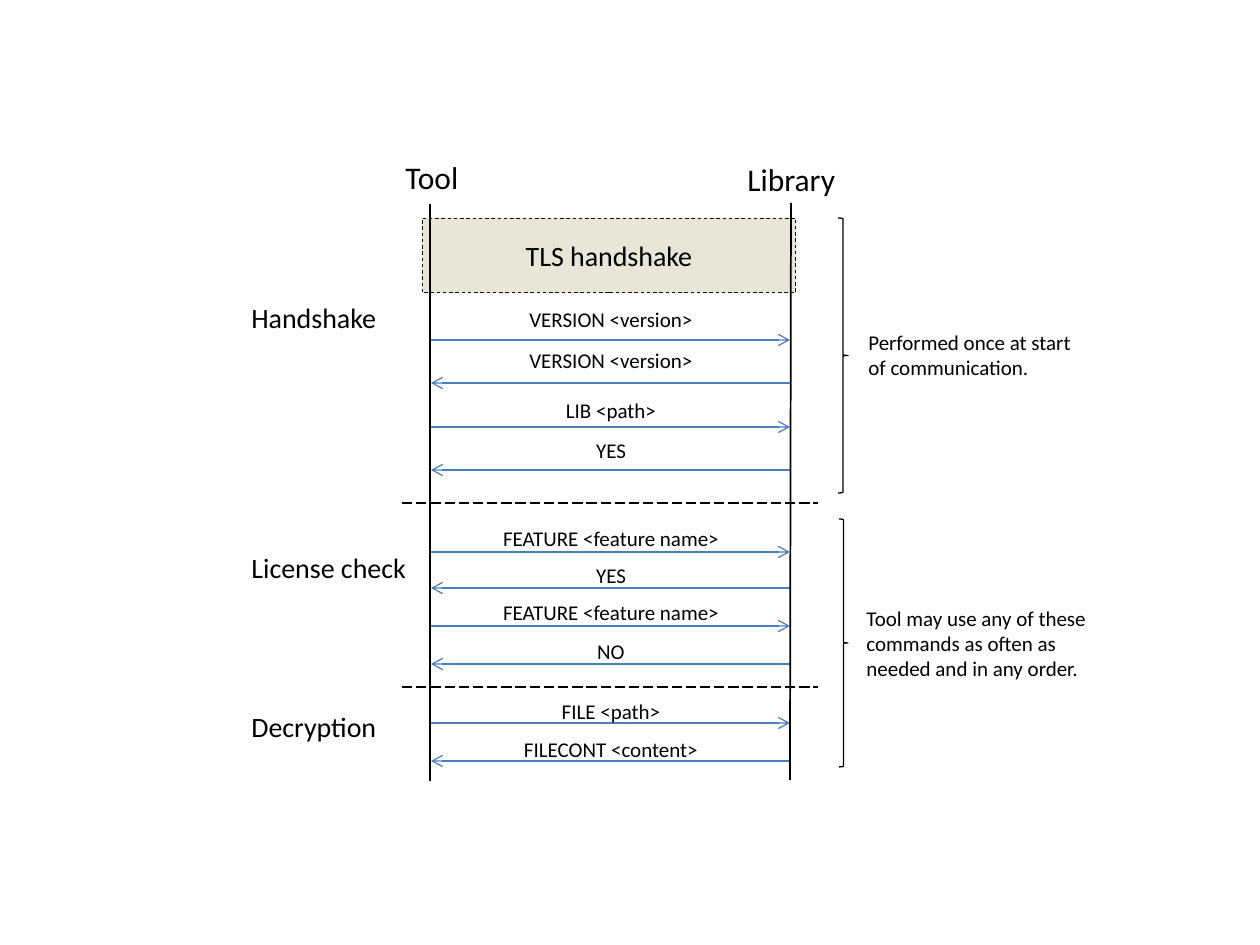
"""Build a sequence diagram of the protocol between a tool and a library."""
from lxml import etree
from pptx import Presentation
from pptx.dml.color import RGBColor
from pptx.enum.dml import MSO_LINE
from pptx.enum.shapes import MSO_CONNECTOR, MSO_SHAPE
from pptx.enum.text import MSO_ANCHOR, MSO_AUTO_SIZE, PP_ALIGN
from pptx.oxml.ns import qn
from pptx.util import Pt

STRAIGHT = MSO_CONNECTOR.STRAIGHT
RECT, BRACE = MSO_SHAPE.RECTANGLE, MSO_SHAPE.RIGHT_BRACE
DASH, LONG_DASH = MSO_LINE.DASH, MSO_LINE.LONG_DASH
LEFT, CENTER = PP_ALIGN.LEFT, PP_ALIGN.CENTER
MIDDLE = MSO_ANCHOR.MIDDLE
FIT = MSO_AUTO_SIZE.SHAPE_TO_FIT_TEXT

THEME = {
    "font": "Calibri",
    "ink": RGBColor(0x00, 0x00, 0x00),
    "border": RGBColor(0x0D, 0x0D, 0x0D),
    "arrow": RGBColor(0x4B, 0x7E, 0xBC),
    "box": RGBColor(0xDD, 0xD9, 0xC3),
    "box_alpha": 65,
    "actor": 18,
    "phase": 16,
    "message": 12,
    "hairline": 0.5,
    "line": 0.75,
    "lifeline": 1,
}
PX = 914400 / 126
WIDTH, HEIGHT = 1260, 945
TOOL_X, LIBRARY_X = 430, 791
MESSAGE_X = 611
PHASE_X = 239

ACTORS = [("Tool", 393, 152, 79), ("Library", 735, 154, 115)]
PHASES = [("Handshake", 294, 151), ("License check", 544, 181), ("Decryption", 703, 152)]
HANDSHAKE_BOX = ("TLS handshake", 422, 218, 374, 75)
MESSAGES = [
    ("VERSION <version>", 300, 340, 190),
    ("VERSION <version>", 341, 383, 190),
    ("LIB <path>", 391, 427, 116),
    ("YES", 431, 470, 55),
    ("FEATURE <feature name>", 519, 552, 244),
    ("YES", 556, 588, 55),
    ("FEATURE <feature name>", 593, 626, 244),
    ("NO", 632, 664, 53),
    ("FILE <path>", 692, 723, 125),
    ("FILECONT <content>", 730, 761, 202),
]
DIVIDERS = [503, 687]
NOTES = [
    ("Performed once at start of communication.", (856, 323, 238, 63), (838, 218, 10, 275)),
    ("Tool may use any of these commands as often as needed and in any order.",
     (854, 599, 258, 89), (839, 519, 9, 248)),
]


def px(*values):
    return [round(v * PX) for v in values]


def write(tf, text, size, align):
    p = tf.paragraphs[0]
    p.text, p.alignment = text, align
    p.font.name, p.font.size = THEME["font"], Pt(size)
    p.font.color.rgb = THEME["ink"]


def add_text(s, text, box, size, align=LEFT, wrap=False):
    tf = s.shapes.add_textbox(*px(*box)).text_frame
    tf.word_wrap, tf.auto_size = wrap, FIT
    write(tf, text, size, align)


def style_line(sp, color, width, dash=None):
    sp.line.color.rgb, sp.line.width = color, Pt(width)
    if dash:
        sp.line.dash_style = dash


def add_line(s, ends, color, width, dash=None, arrow=False):
    sp = s.shapes.add_connector(STRAIGHT, *px(*ends))
    style_line(sp, color, width, dash)
    if arrow:
        etree.SubElement(sp.line._get_or_add_ln(), qn("a:tailEnd"), type="arrow")
    etree.SubElement(sp._element.spPr, qn("a:effectLst"))


def add_handshake_box(s):
    text, *box = HANDSHAKE_BOX
    sp = s.shapes.add_shape(RECT, *px(*box))
    sp.shadow.inherit = False
    sp.fill.solid()
    sp.fill.fore_color.rgb = THEME["box"]
    color = sp._element.spPr.find(qn("a:solidFill"))[0]
    etree.SubElement(color, qn("a:alpha"), val=str(THEME["box_alpha"] * 1000))
    style_line(sp, THEME["border"], THEME["hairline"], DASH)
    sp.text_frame.vertical_anchor = MIDDLE
    write(sp.text_frame, text, THEME["phase"], CENTER)


def add_brace(s, box):
    sp = s.shapes.add_shape(BRACE, *px(*box))
    sp.shadow.inherit = False
    sp.fill.background()
    style_line(sp, THEME["ink"], THEME["line"])


def main():
    prs = Presentation()
    prs.slide_width, prs.slide_height = px(WIDTH, HEIGHT)
    s = prs.slides.add_slide(prs.slide_layouts[6])

    add_handshake_box(s)
    for text, x, y, w in ACTORS:
        add_text(s, text, (x, y, w, 51), THEME["actor"])
    for text, y, w in PHASES:
        add_text(s, text, (PHASE_X, y, w, 47), THEME["phase"])
    for y in DIVIDERS:
        add_line(s, (402, y, 818, y), THEME["ink"], THEME["line"], LONG_DASH)
    for i, (text, top, y, w) in enumerate(MESSAGES):
        start, end = (TOOL_X + 1, LIBRARY_X - 1)[::-1 if i % 2 else 1]
        add_line(s, (start, y, end, y), THEME["arrow"], THEME["line"], arrow=True)
        add_text(s, text, (MESSAGE_X - w / 2, top, w, 38), THEME["message"], CENTER)
    for text, text_box, brace_box in NOTES:
        add_text(s, text, text_box, THEME["message"], wrap=True)
        add_brace(s, brace_box)
    add_line(s, (LIBRARY_X, 203, LIBRARY_X - 1, 780), THEME["ink"], THEME["lifeline"])
    add_line(s, (TOOL_X, 204, TOOL_X, 781), THEME["ink"], THEME["lifeline"])

    prs.save("out.pptx")


if __name__ == "__main__":
    main()
